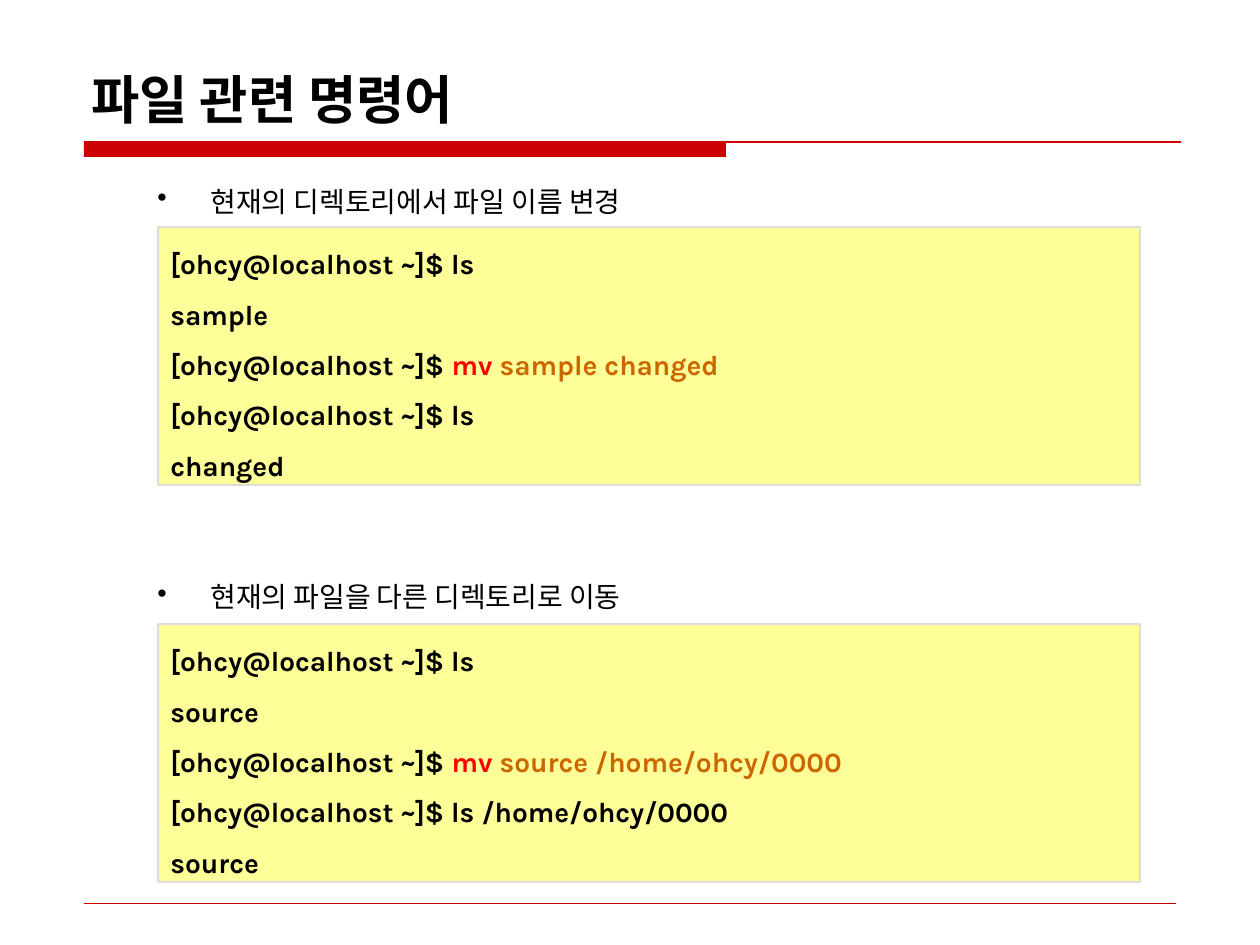
from lxml.etree import SubElement
from pptx import Presentation
from pptx.dml.color import RGBColor
from pptx.enum.shapes import MSO_CONNECTOR, MSO_SHAPE
from pptx.enum.text import MSO_ANCHOR, PP_ALIGN
from pptx.oxml.ns import qn
from pptx.util import Pt

PX = 7257.14  # EMU per px, 126 px to the inch
KOREAN = "Noto Sans CJK KR"
RED = "CC0000"
BLACK = "000000"
PROMPT = "[ohcy@localhost ~]$ "


def px(*lengths):
    return [round(length * PX) for length in lengths]


def write(frame, lines, size, font="Karla", bold=False, spacing=None,
          before=(), bullet=False, anchor=MSO_ANCHOR.TOP):
    """Fill a text frame; each line is a list of (text, colour) runs."""
    frame.word_wrap = True
    frame.vertical_anchor = anchor
    for i, runs in enumerate(lines):
        paragraph = frame.paragraphs[0] if i == 0 else frame.add_paragraph()
        paragraph.alignment = PP_ALIGN.LEFT
        if spacing:
            paragraph.line_spacing = spacing
        if before:
            paragraph.space_before = Pt(before[i])
        if bullet:
            properties = paragraph._p.get_or_add_pPr()
            margin, hanging = px(120, 53)
            properties.set("marL", str(margin))
            properties.set("indent", str(-hanging))
            SubElement(properties, qn("a:buChar"), char="•")
        for text, colour in runs:
            run = paragraph.add_run()
            run.text = text
            run.font.size = Pt(size)
            run.font.bold = bold
            run.font.name = font
            run.font.color.rgb = RGBColor.from_string(colour)
            SubElement(run._r.get_or_add_rPr(), qn("a:ea"), typeface=KOREAN)


prs = Presentation()
prs.slide_width, prs.slide_height = px(1260, 945)
slide = prs.slides.add_slide(prs.slide_layouts[6])
shapes = slide.shapes

# Title bar and the thin rules under the title and at the foot
title_bar = shapes.add_shape(MSO_SHAPE.RECTANGLE, *px(84, 142, 642, 15))
title_bar.shadow.inherit = False
title_bar.fill.solid()
title_bar.fill.fore_color.rgb = RGBColor.from_string(RED)
title_bar.line.fill.background()

for y, right, width in [(142, 1181, 0.75), (903, 1176, 0.25)]:
    rule = shapes.add_connector(MSO_CONNECTOR.STRAIGHT, *px(84, y, right, y))
    rule.line.color.rgb = RGBColor.from_string(RED)
    rule.line.width = Pt(width)
    SubElement(rule._element.spPr, qn("a:effectLst"))

title = shapes.add_textbox(*px(79, 42, 1102, 94))
write(title.text_frame, [[("파일 관련 명령어", BLACK)]], 30, font=KOREAN,
      bold=True, anchor=MSO_ANCHOR.BOTTOM)

# The second bullet is spaced down to sit above the second terminal
topics = shapes.add_textbox(*px(78, 168, 1102, 661))
write(topics.text_frame,
      [[("현재의 디렉토리에서 파일 이름 변경", BLACK)],
       [("현재의 파일을 다른 디렉토리로 이동", BLACK)]],
      16, spacing=1.3, before=(4, 201), bullet=True)

# Terminal sessions: listing before, move, listing after
sessions = [
    (227, "sample", "sample changed", "ls", "changed"),
    (624, "source", "source /home/ohcy/0000", "ls /home/ohcy/0000", "source"),
]
for top, listed, arguments, check, result in sessions:
    terminal = shapes.add_shape(MSO_SHAPE.RECTANGLE, *px(158, top, 982, 258))
    terminal.shadow.inherit = False
    terminal.fill.solid()
    terminal.fill.fore_color.rgb = RGBColor.from_string("FFFF99")
    terminal.line.color.rgb = RGBColor.from_string("DDDDDD")
    terminal.line.width = Pt(1)
    write(terminal.text_frame,
          [[(PROMPT + "ls", BLACK)],
           [(listed, BLACK)],
           [(PROMPT, BLACK), ("mv ", "FF0000"), (arguments, "CC6600")],
           [(PROMPT + check, BLACK)],
           [(result, BLACK)]],
          16, bold=True, spacing=1.5, anchor=MSO_ANCHOR.MIDDLE)

prs.save("out.pptx")
